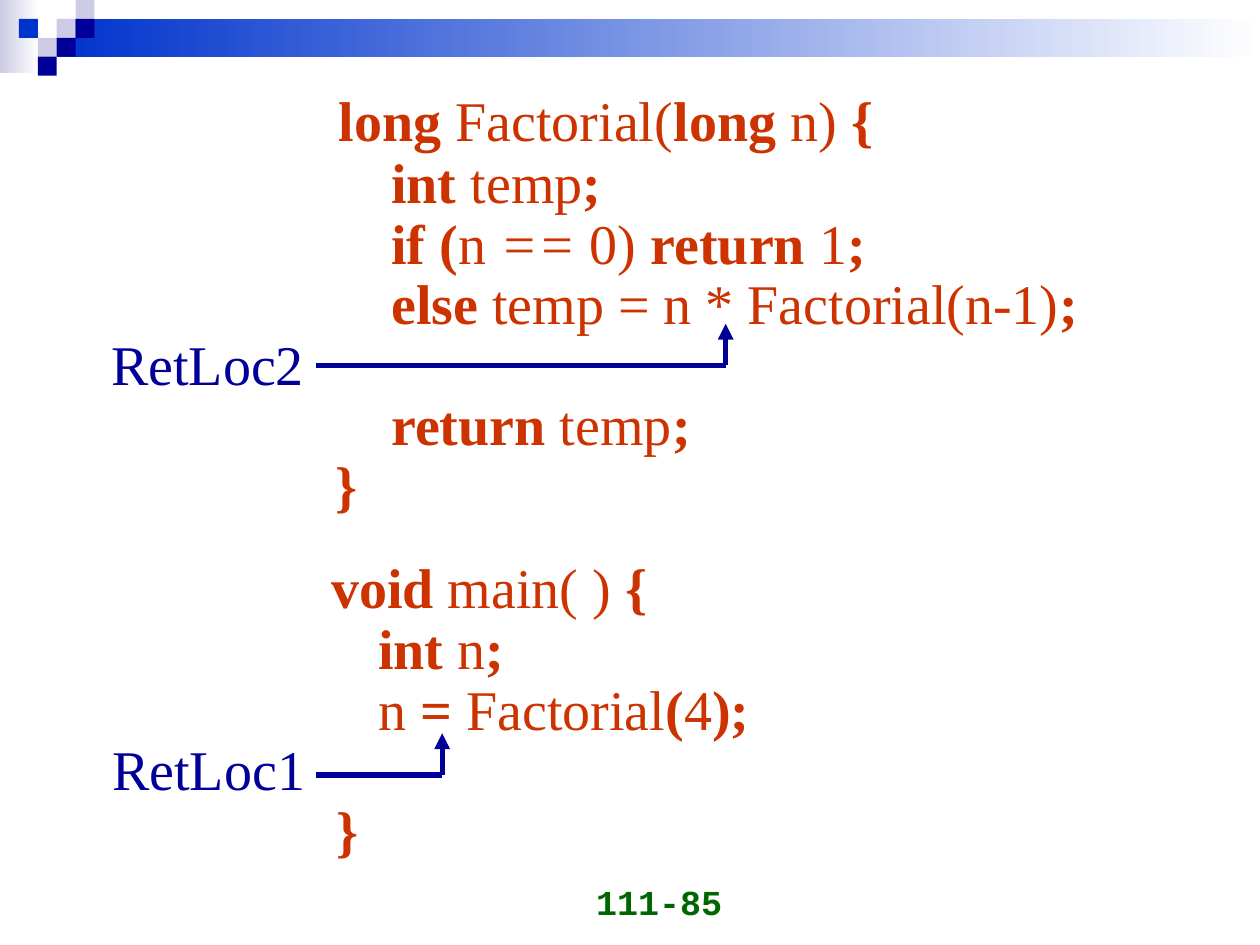
from lxml.etree import SubElement
from pptx import Presentation
from pptx.dml.color import RGBColor
from pptx.enum.shapes import MSO_CONNECTOR, MSO_SHAPE
from pptx.enum.text import MSO_ANCHOR, PP_ALIGN
from pptx.oxml.ns import qn
from pptx.util import Pt

NAVY = RGBColor(0x00, 0x00, 0x99)
BLUE = RGBColor(0x00, 0x33, 0xCC)
LAVENDER = RGBColor(0xCC, 0xCC, 0xE6)
WHITE = RGBColor(0xFF, 0xFF, 0xFF)
RUST = RGBColor(0xCC, 0x33, 0x00)
GREEN = RGBColor(0x00, 0x66, 0x00)

SQUARES = [(3, 1, LAVENDER), (4, 0, LAVENDER), (4, 1, NAVY), (2, 2, LAVENDER),
           (1, 1, BLUE), (3, 2, NAVY), (2, 3, NAVY)]

FACTORIAL = [
    (162, RUST, [("long", "b"), (" Factorial(", ""), ("long", "b"), (" n) ", ""), ("{", "b")]),
    (192, RUST, [("int", "b"), (" temp", ""), (";", "b")]),
    (192, RUST, [("if (", "b"), ("n", ""), (" ==", "i"), (" 0) ", ""),
                 ("return", "b"), (" 1", ""), (";", "b")]),
    (192, RUST, [("else", "b"), (" temp = n * Factorial(n-1)", ""), (";", "b")]),
    (32, NAVY, [("RetLoc2", "")]),
    (192, RUST, [("return", "b"), (" temp", ""), (";", "b")]),
    (160, RUST, [("}", "b")]),
]

MAIN = [
    (149, RUST, [("void ", "b"), ("main( )", ""), (" {", "b")]),
    (176, RUST, [("int ", "b"), ("n", ""), (";", "b")]),
    (176, RUST, [("n", ""), (" = ", "b"), ("Factorial", ""), ("(", "b"), ("4", ""), (");", "b")]),
    (24, NAVY, [("RetLoc1", "")]),
    (152, RUST, [("}", "b")]),
]


def add_rect(s, x, y, w, h, color, fade=False):
    sp = s.shapes.add_shape(MSO_SHAPE.RECTANGLE, Pt(x), Pt(y), Pt(w), Pt(h))
    sp.shadow.inherit = False
    sp.line.fill.background()
    if fade:
        sp.fill.gradient()
        sp.fill.gradient_angle = 0
        for stop, rgb in zip(sp.fill.gradient_stops, (color, WHITE)):
            stop.color.rgb = rgb
    else:
        sp.fill.solid()
        sp.fill.fore_color.rgb = color


def add_banner(s, x, y, w, cell):
    add_rect(s, x, y, 22.3, 41.8, LAVENDER, fade=True)
    add_rect(s, x + 3 * cell, y + cell, w - 3 * cell, 2 * cell, BLUE, fade=True)
    for col, row, color in SQUARES:
        add_rect(s, x + col * cell, y + row * cell, cell, cell, color)


def add_run(p, text, font, size, color, style):
    r = p.add_run()
    r.text = text
    r.font.name = font
    r.font.size = Pt(size)
    r.font.color.rgb = color
    r.font.bold = "b" in style
    r.font.italic = "i" in style


def add_code(s, x, y, w, h, lines, top=3.6, first_gap=0):
    tf = s.shapes.add_textbox(Pt(x), Pt(y), Pt(w), Pt(h)).text_frame
    tf.word_wrap = True
    tf.margin_top = Pt(top)
    for i, (indent, color, runs) in enumerate(lines):
        p = tf.add_paragraph() if i else tf.paragraphs[0]
        p.line_spacing = 0.9
        p._p.get_or_add_pPr().set("marL", str(Pt(indent)))
        for text, style in runs:
            add_run(p, text, "Times New Roman", 32, color, style)
    tf.paragraphs[0].space_after = Pt(first_gap)


def add_line(s, x1, y1, x2, y2, arrow=False):
    c = s.shapes.add_connector(MSO_CONNECTOR.STRAIGHT, Pt(x1), Pt(y1), Pt(x2), Pt(y2))
    c.line.color.rgb = NAVY
    c.line.width = Pt(3)
    if arrow:
        SubElement(c.line._get_or_add_ln(), qn("a:tailEnd"), type="triangle")
    SubElement(c._element.spPr, qn("a:effectLst"))


def add_return_arrow(s, x, y, w, h):
    add_line(s, x + w, y + h, x + w, y, arrow=True)
    add_line(s, x, y + h, x + w, y + h)


def add_page_number(s, x, y, w, h):
    tf = s.shapes.add_textbox(Pt(x), Pt(y), Pt(w), Pt(h)).text_frame
    tf.word_wrap = True
    tf.vertical_anchor = MSO_ANCHOR.BOTTOM
    p = tf.paragraphs[0]
    p.alignment = PP_ALIGN.RIGHT
    add_run(p, "111-85", "Courier New", 20, GREEN, "b")


def main():
    prs = Presentation()
    prs.slide_width, prs.slide_height = Pt(720), Pt(540)
    s = prs.slides.add_slide(prs.slide_layouts[6])
    add_banner(s, 0, 0, 720, 10.8)
    add_page_number(s, 252, 494.6, 167.8, 36)
    add_code(s, 24.5, 46.1, 635.8, 253.4, FACTORIAL, top=7, first_gap=1)
    add_code(s, 33.1, 316.8, 578.9, 180, MAIN)
    add_return_arrow(s, 180.7, 185, 234, 23.8)
    add_return_arrow(s, 180.7, 419, 72, 23.8)
    prs.save("out.pptx")


if __name__ == "__main__":
    main()
